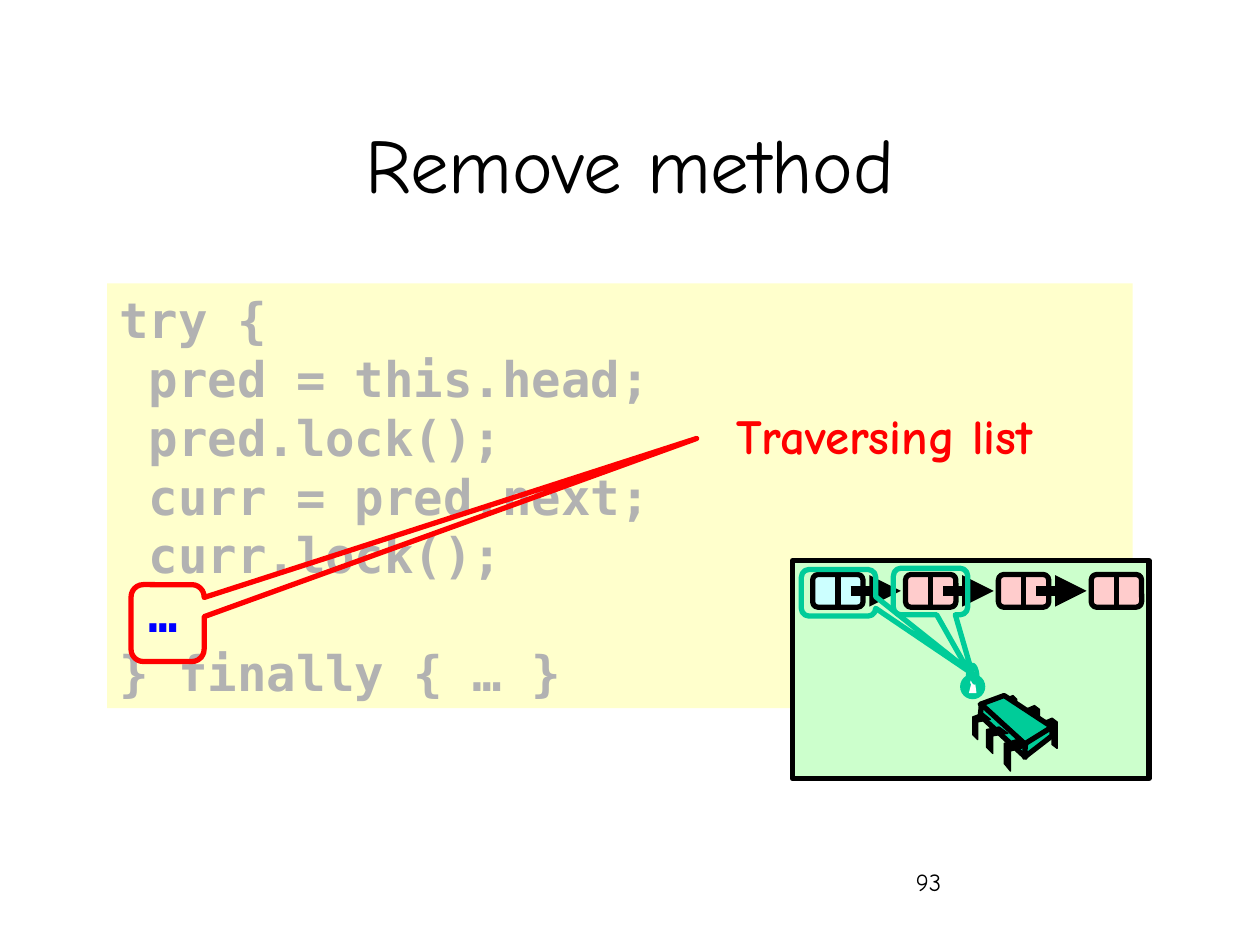
from dataclasses import dataclass
from math import cos, pi, sin

from lxml.etree import SubElement
from pptx import Presentation
from pptx.dml.color import RGBColor
from pptx.enum.shapes import MSO_CONNECTOR as Link, MSO_SHAPE as Shape
from pptx.enum.text import MSO_ANCHOR as Anchor, PP_ALIGN as Align
from pptx.oxml.ns import qn
from pptx.util import Inches, Pt


@dataclass(frozen=True)
class Theme:
    """Colours, fonts and sizes of the slide."""
    ink: str = "000000"
    paper: str = "FFFFFF"
    code_fill: str = "FFFFCC"
    faded: str = "B2B2B2"
    focus: str = "0000FF"
    alert: str = "FF0000"
    panel: str = "CCFFCC"
    head_cell: str = "CCFFFF"
    cell: str = "FFCCCC"
    thread: str = "00CC99"
    prose: str = "Comic Neue"
    mono: str = "DejaVu Sans Mono"
    title_size: int = 44
    code_size: int = 28
    number_size: int = 14
    line: float = 3
    arrow: float = 6
    hairline: float = 0.75


THEME = Theme()
CODE = ["try {", " pred = this.head;", " pred.lock();", " curr = pred.next;",
        " curr.lock();", " …", "} finally { … }"]
FOCUS_LINE = 5
BACK_LEG = [(1.99, 1.28), (2.06, 1.25), (2.1, 1.28), (2.1, 1.49), (2.06, 1.46),
            (2.06, 1.32), (1.99, 1.35)]
BACK_LEGS = [
    BACK_LEG,
    [(x - 0.14, y - 0.1) for x, y in BACK_LEG],
    [(1.68, 1.1), (1.75, 1.07), (1.78, 1.1), (1.78, 1.28), (1.75, 1.25),
     (1.75, 1.13), (1.68, 1.16)],
]
CHIP_FACES = [
    [(1.68, 1.07), (2.06, 1.32), (1.85, 1.46), (1.49, 1.14)],
    [(1.5, 1.14), (1.85, 1.46), (1.85, 1.56), (1.49, 1.23)],
    [(2.06, 1.32), (2.06, 1.39), (1.84, 1.56), (1.85, 1.45)],
]
FRONT_LEGS = [
    [(1.78, 1.42), (1.85, 1.48), (1.73, 1.51), (1.73, 1.67), (1.68, 1.61), (1.68, 1.45)],
    [(1.64, 1.32), (1.71, 1.37), (1.59, 1.39), (1.59, 1.53), (1.54, 1.48), (1.54, 1.34)],
    [(1.51, 1.21), (1.57, 1.26), (1.47, 1.28), (1.47, 1.42), (1.43, 1.38), (1.43, 1.24)],
]


def rgb(value):
    """Return a colour from its hex digits."""
    return RGBColor.from_string(value)


def apply(target, values):
    """Set each named attribute on the target."""
    for name, value in values.items():
        setattr(target, name, value)


def paint(shape, fill=None, line=None, width=THEME.line):
    """Give a shape its fill and outline and remove its shadow."""
    shape.shadow.inherit = False
    if fill:
        shape.fill.solid()
        shape.fill.fore_color.rgb = rgb(fill)
    else:
        shape.fill.background()
    if line:
        shape.line.color.rgb = rgb(line)
        shape.line.width = Pt(width)
    else:
        shape.line.fill.background()


def add_box(shapes, kind, box, fill=None, line=None, adjust=()):
    """Add a painted preset shape in the given box."""
    shape = shapes.add_shape(kind, *map(Inches, box))
    paint(shape, fill, line)
    for index, value in enumerate(adjust):
        shape.adjustments[index] = value
    return shape


def add_callout(shapes, box, tip, line):
    """Add an unfilled rounded callout whose tip is relative to its size."""
    return add_box(shapes, Shape.ROUNDED_RECTANGULAR_CALLOUT, box, None, line, (*tip, 0.167))


def add_line(shapes, start, end, width=THEME.line, arrow=False):
    """Add a straight line, with an arrowhead if asked."""
    line = shapes.add_connector(Link.STRAIGHT, *map(Inches, (*start, *end)))
    line.line.color.rgb = rgb(THEME.ink)
    line.line.width = Pt(width)
    if arrow:
        SubElement(line.line._get_or_add_ln(), qn("a:tailEnd"), type="triangle")
    SubElement(line._element.spPr, qn("a:effectLst"))
    return line


def add_outline(shapes, origin, points, fill, line=None, width=THEME.line):
    """Add a closed outline with points relative to the origin."""
    left, top = origin
    places = [(Inches(left + x), Inches(top + y)) for x, y in points]
    builder = shapes.build_freeform(*places[0])
    builder.add_line_segments(places[1:], close=True)
    paint(builder.convert_to_shape(), fill, line, width)


def write(para, text, font, size, color, bold=False, align=Align.LEFT):
    """Put one formatted run in a paragraph."""
    para.alignment = align
    span = para.add_run()
    span.text = text
    apply(span.font, {"name": font, "size": Pt(size), "bold": bold})
    span.font.color.rgb = rgb(color)


def add_title(page, box):
    """Place the title in its placeholder."""
    title = page.shapes.title
    apply(title, dict(zip(("left", "top", "width", "height"), map(Inches, box))))
    frame = title.text_frame
    apply(frame, {"vertical_anchor": Anchor.MIDDLE, "word_wrap": True})
    write(frame.paragraphs[0], "Remove method", THEME.prose, THEME.title_size,
          THEME.ink, align=Align.CENTER)


def add_page_number(page, box):
    """Place the page number."""
    frame = page.shapes.add_textbox(*map(Inches, box)).text_frame
    frame.word_wrap = True
    write(frame.paragraphs[0], "93", THEME.prose, THEME.number_size, THEME.ink)


def add_code(page, box):
    """Place the code listing with its focus line in colour."""
    frame = add_box(page.shapes, Shape.RECTANGLE, box, THEME.code_fill).text_frame
    apply(frame, {"vertical_anchor": Anchor.TOP, "word_wrap": True})
    for index, text in enumerate(CODE):
        para = frame.add_paragraph() if index else frame.paragraphs[0]
        color = THEME.focus if index == FOCUS_LINE else THEME.faded
        write(para, text, THEME.mono, THEME.code_size, color, bold=True)


def add_label(page, box):
    """Place the translucent explanation of the focus line."""
    label = add_box(page.shapes, Shape.RECTANGLE, box, THEME.code_fill)
    color = label._element.spPr.find(qn("a:solidFill")).find(qn("a:srgbClr"))
    SubElement(color, qn("a:alpha"), val="70000")
    frame = label.text_frame
    apply(frame, {"vertical_anchor": Anchor.TOP, "word_wrap": True})
    write(frame.paragraphs[0], "Traversing list", THEME.prose, THEME.code_size,
          THEME.alert, bold=True, align=Align.CENTER)


def add_nodes(shapes, origin, count=4, pitch=0.737):
    """Draw the linked list of two-part nodes."""
    left, top = origin
    width, height = 0.4, 0.26
    for index in range(count):
        x = left + index * pitch
        fill = THEME.cell if index else THEME.head_cell
        node = add_box(shapes, Shape.ROUNDED_RECTANGLE, (x, top, width, height), fill, THEME.ink)
        divider = add_line(shapes, (x + width / 2, top), (x + width / 2, top + height))
        divider.begin_connect(node, 0)
        divider.end_connect(node, 2)
    for index in range(count - 1):
        x, y = left + index * pitch + 0.3, top + height / 2
        add_line(shapes, (x, y), (x + 0.4, y), THEME.arrow, arrow=True)


def add_lock(shapes, origin):
    """Draw the padlock held by the thread."""
    left, top = origin
    add_box(shapes, Shape.OVAL, (left + 1.33, top + 0.9, 0.2, 0.2), THEME.thread)
    add_box(shapes, Shape.OVAL, (left + 1.41, top + 0.94, 0.05, 0.05), THEME.paper)
    keyhole = [(1.4, 1.05), (1.42, 0.97), (1.45, 0.97), (1.46, 1.05)]
    add_outline(shapes, origin, keyhole, THEME.paper)
    angles = [pi * step / 12 for step in range(13)]
    outer = [(1.43 - 0.055 * cos(a), 0.93 - 0.12 * sin(a)) for a in angles]
    inner = [(1.43 + 0.025 * cos(a), 0.93 - 0.06 * sin(a)) for a in angles]
    add_outline(shapes, origin, outer + inner, THEME.thread)


def add_chip(shapes, origin):
    """Draw the thread as a chip between its back and front legs."""
    parts = ((BACK_LEGS, THEME.ink, THEME.hairline), (CHIP_FACES, THEME.thread, THEME.line),
             (FRONT_LEGS, THEME.ink, THEME.hairline))
    for outlines, fill, width in parts:
        for points in outlines:
            add_outline(shapes, origin, points, fill, THEME.ink, width)


def add_list_panel(page, box):
    """Place the list with the thread locking its first two nodes."""
    left, top = origin = box[:2]
    shapes = page.shapes.add_group_shape().shapes
    add_box(shapes, Shape.RECTANGLE, box, THEME.panel, THEME.ink)
    add_nodes(shapes, (left + 0.16, top + 0.11))
    add_callout(shapes, (left + 0.07, top + 0.07, 0.59, 0.37), (1.813, 1.749), THEME.thread)
    add_lock(shapes, origin)
    add_chip(shapes, origin)
    add_callout(shapes, (left + 0.8, top + 0.06, 0.59, 0.37), (0.596, 1.944), THEME.thread)


def main():
    """Build and save the deck."""
    deck = Presentation()
    apply(deck, {"slide_width": Inches(10), "slide_height": Inches(7.5)})
    page = deck.slides.add_slide(deck.slide_layouts[5])
    add_page_number(page, (7.17, 6.83, 2.08, 0.5))
    add_title(page, (0.75, 0.67, 8.5, 1.25))
    add_code(page, (0.85, 2.25, 8.14, 3.37))
    add_label(page, (5.22, 3.17, 3.6, 0.57))
    add_list_panel(page, (6.29, 4.45, 2.83, 1.73))
    add_callout(page.shapes, (1.04, 4.64, 0.58, 0.61), (7.24, -2.403), THEME.alert)
    deck.save("out.pptx")


if __name__ == "__main__":
    main()
